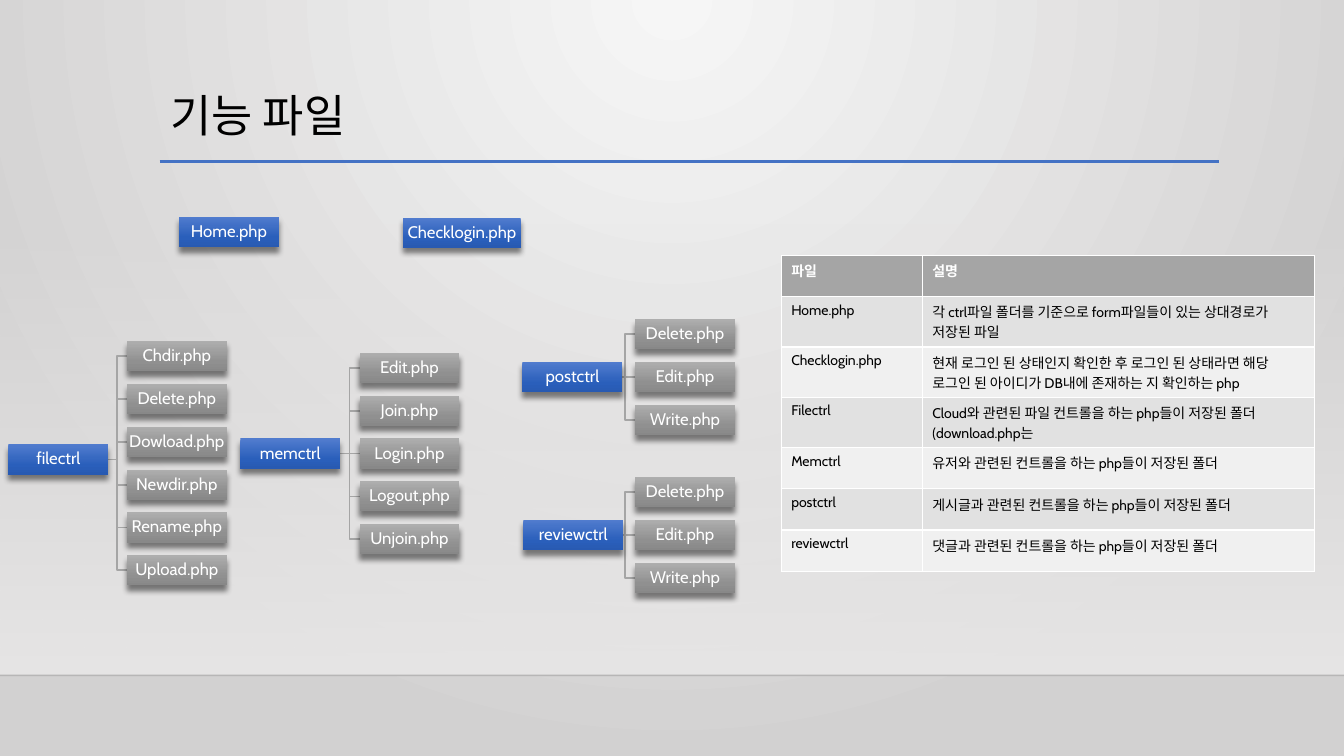
"""Build the slide that lists the function files of a web application."""
from pptx import Presentation
from pptx.dml.color import RGBColor
from pptx.enum.shapes import MSO_CONNECTOR, MSO_SHAPE
from pptx.enum.text import MSO_ANCHOR, PP_ALIGN
from pptx.oxml import parse_xml
from pptx.oxml.ns import nsdecls, qn
from pptx.util import Inches, Pt

RECT = MSO_SHAPE.RECTANGLE
STRAIGHT = MSO_CONNECTOR.STRAIGHT
TOP, MIDDLE = MSO_ANCHOR.TOP, MSO_ANCHOR.MIDDLE
LEFT, CENTER = PP_ALIGN.LEFT, PP_ALIGN.CENTER

THEME = dict(
    font="Cabin", title=32, node=12, cell=10,
    black="000000", white="FFFFFF", rule="4472C4", wire="A5A5A5",
    head="A5A5A5", stripes=("E1E1E1", "F0F0F0"),
    backdrop=[(0, "F6F6F6", 100), (100, "D2D1D1", 100)],
    wall=[(0, "E7E6E6", 0), (100, "E7E6E6", 100)],
    blue=[(0, "517CCE", 100), (69, "2A5FBB", 100), (100, "285AB2", 100)],
    gray=[(0, "AEAEAE", 100), (69, "909090", 100), (100, "888888", 100)],
)
DOWN = '<a:lin ang="5400000" scaled="0"/>'
RADIAL = ('<a:path path="circle"><a:fillToRect l="43000" t="0" r="43000" '
          'b="100000"/></a:path>')
SHADOW = (f'<a:outerShdw {nsdecls("a")} blurRad="50800" dist="50800" dir="5400000">'
          '<a:srgbClr val="000000"><a:alpha val="48000"/></a:srgbClr></a:outerShdw>')


def write(tf, text, size, color="black", bold=False, align=LEFT, spacing=1.0):
    """Put one formatted paragraph into a text frame."""
    tf.word_wrap = True
    p = tf.paragraphs[0]
    p.alignment, p.line_spacing = align, spacing
    r = p.add_run()
    r.text = text
    r.font.name, r.font.size, r.font.bold = THEME["font"], Pt(THEME[size]), bold
    r.font.color.rgb = RGBColor.from_string(THEME[color])


def paint(parent, stops, direction=DOWN):
    """Replace the empty fill of an element by a gradient."""
    marks = "".join(
        f'<a:gs pos="{pos * 1000}"><a:srgbClr val="{color}">'
        f'<a:alpha val="{alpha * 1000}"/></a:srgbClr></a:gs>'
        for pos, color, alpha in stops)
    parent.replace(parent.find(qn("a:noFill")), parse_xml(
        f'<a:gradFill {nsdecls("a")} rotWithShape="1"><a:gsLst>{marks}</a:gsLst>'
        f'{direction}</a:gradFill>'))


prs = Presentation()
prs.slide_width, prs.slide_height = Inches(40 / 3), Inches(7.5)
U = prs.slide_width // 1600
W = 1600
slide = prs.slides.add_slide(prs.slide_layouts[6])
shapes = slide.shapes

slide.background.fill.background()
paint(slide.background._cSld.bg.bgPr, THEME["backdrop"], RADIAL)

FLOOR, WALL_TOP = 804, 265
s = shapes.add_shape(RECT, 0, WALL_TOP * U, W * U, (FLOOR - WALL_TOP) * U)
s.shadow.inherit = False
s.line.fill.background()
s.fill.background()
paint(s._element.spPr, THEME["wall"])

for x1, x2, y, color, width, alpha in [(0, W, FLOOR, "black", 1, 20),
                                       (190, 1451, 192, "rule", 2.5, 100)]:
    s = shapes.add_connector(STRAIGHT, x1 * U, y * U, x2 * U, y * U)
    s.line.width = Pt(width)
    s.line.color.rgb = RGBColor.from_string(THEME[color])
    tint = s.line._ln.find(".//" + qn("a:srgbClr"))
    tint.append(parse_xml(f'<a:alpha {nsdecls("a")} val="{alpha * 1000}"/>'))
    s._element.spPr.append(parse_xml(f'<a:effectLst {nsdecls("a")}/>'))

s = shapes.add_textbox(191 * U, 106 * U, 1260 * U, 138 * U)
s.text_frame.vertical_anchor = TOP
write(s.text_frame, "기능 파일", "title", spacing=0.9)

NODE_W, NODE_H, PITCH, TRUNK = 119, 36, 51, 12
FOLDERS = [
    ("filectrl", 10, 529, 151, 406,
     ["Chdir", "Delete", "Dowload", "Newdir", "Rename", "Upload"]),
    ("memctrl", 286, 522, 428, 420, ["Edit", "Join", "Login", "Logout", "Unjoin"]),
    ("postctrl", 622, 431, 756, 380, ["Delete", "Edit", "Write"]),
    ("reviewctrl", 623, 619, 756, 568, ["Delete", "Edit", "Write"]),
]
nodes = [("Home.php", 213, 258, NODE_W, "blue"),
         ("Checklogin.php", 480, 259, 140, "blue")]
for folder, x, y, file_x, first_y, files in FOLDERS:
    nodes.append((folder, x, y, NODE_W, "blue"))
    start, mid = x + NODE_W, y + NODE_H // 2
    for i, name in enumerate(files):
        file_y = first_y + i * PITCH
        nodes.append((f"{name}.php", file_x, file_y, NODE_W, "gray"))
        end = file_y + NODE_H // 2
        wire = shapes.build_freeform(start, mid, scale=U)
        wire.add_line_segments([(file_x - TRUNK, mid), (file_x - TRUNK, end),
                                (file_x, end)], close=False)
        s = wire.convert_to_shape()
        s.shadow.inherit = False
        s.fill.background()
        s.line.width = Pt(1.25)
        s.line.color.rgb = RGBColor.from_string(THEME["wire"])

for name, x, y, width, tone in nodes:
    s = shapes.add_shape(RECT, x * U, y * U, width * U, NODE_H * U)
    s.line.fill.background()
    s.fill.background()
    paint(s._element.spPr, THEME[tone])
    s.shadow.inherit = False
    s._element.spPr.find(qn("a:effectLst")).append(parse_xml(SHADOW))
    tf = s.text_frame
    tf.margin_left = tf.margin_right = tf.margin_top = tf.margin_bottom = U
    tf.vertical_anchor = MIDDLE
    write(tf, name, "node", color="white", align=CENTER, spacing=0.9)

ONE_LINE, TWO_LINES = 49, 60
ROWS = [
    (ONE_LINE, "파일", "설명"),
    (TWO_LINES, "Home.php",
     "각 ctrl파일 폴더를 기준으로 form파일들이 있는 상대경로가 저장된 파일"),
    (TWO_LINES, "Checklogin.php",
     "현재 로그인 된 상태인지 확인한 후 로그인 된 상태라면 해당 "
     "로그인 된 아이디가 DB내에 존재하는 지 확인하는 php"),
    (TWO_LINES, "Filectrl",
     "Cloud와 관련된 파일 컨트롤을 하는 php들이 저장된 폴더(download.php는"),
    (ONE_LINE, "Memctrl", "유저와 관련된 컨트롤을 하는 php들이 저장된 폴더"),
    (ONE_LINE, "postctrl", "게시글과 관련된 컨트롤을 하는 php들이 저장된 폴더"),
    (ONE_LINE, "reviewctrl", "댓글과 관련된 컨트롤을 하는 php들이 저장된 폴더"),
]
COLUMNS = (168, 467)
table = shapes.add_table(len(ROWS), len(COLUMNS), 930 * U, 304 * U, sum(COLUMNS) * U,
                         sum(height for height, *_ in ROWS) * U).table
for column, width in zip(table.columns, COLUMNS):
    column.width = width * U
for i, (height, *texts) in enumerate(ROWS):
    table.rows[i].height = height * U
    head = i == 0
    fill = THEME["head"] if head else THEME["stripes"][(i - 1) % 2]
    for j, text in enumerate(texts):
        cell = table.cell(i, j)
        cell.fill.solid()
        cell.fill.fore_color.rgb = RGBColor.from_string(fill)
        write(cell.text_frame, text, "cell", color="white" if head else "black", bold=head)

prs.save("out.pptx")
